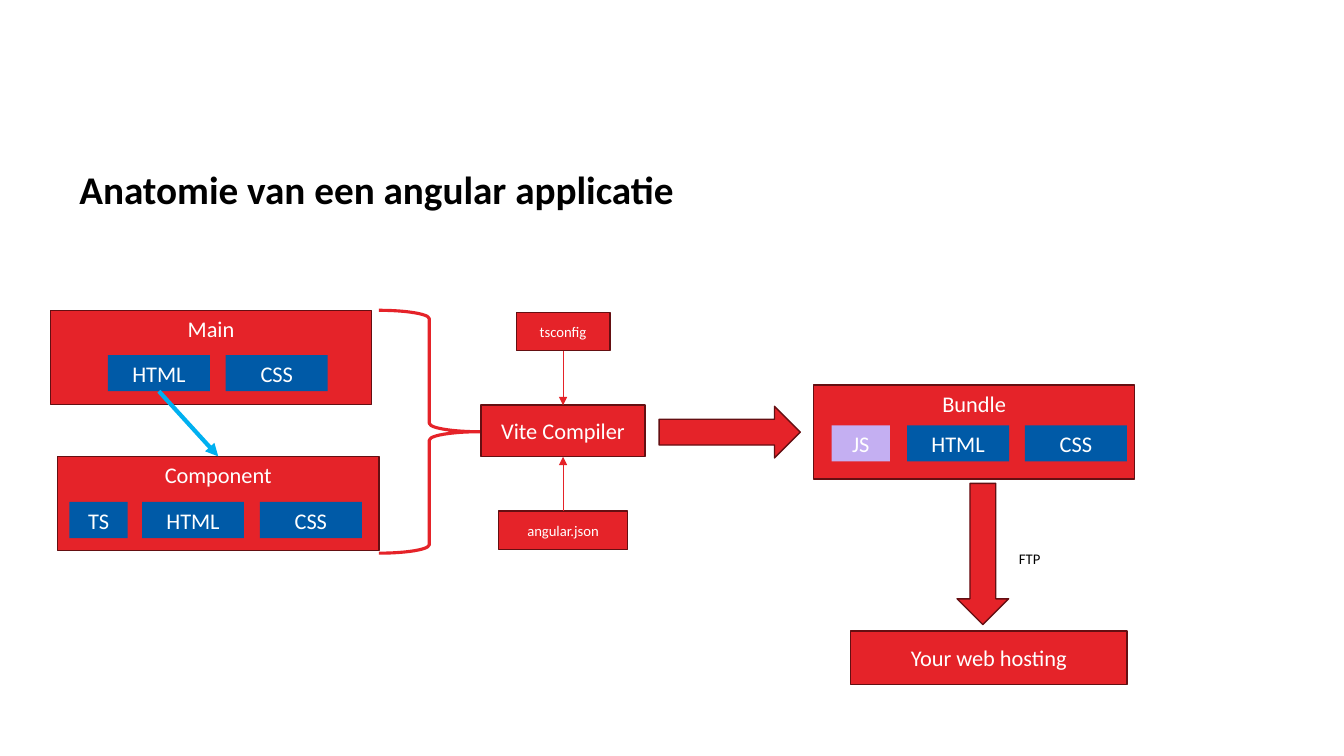
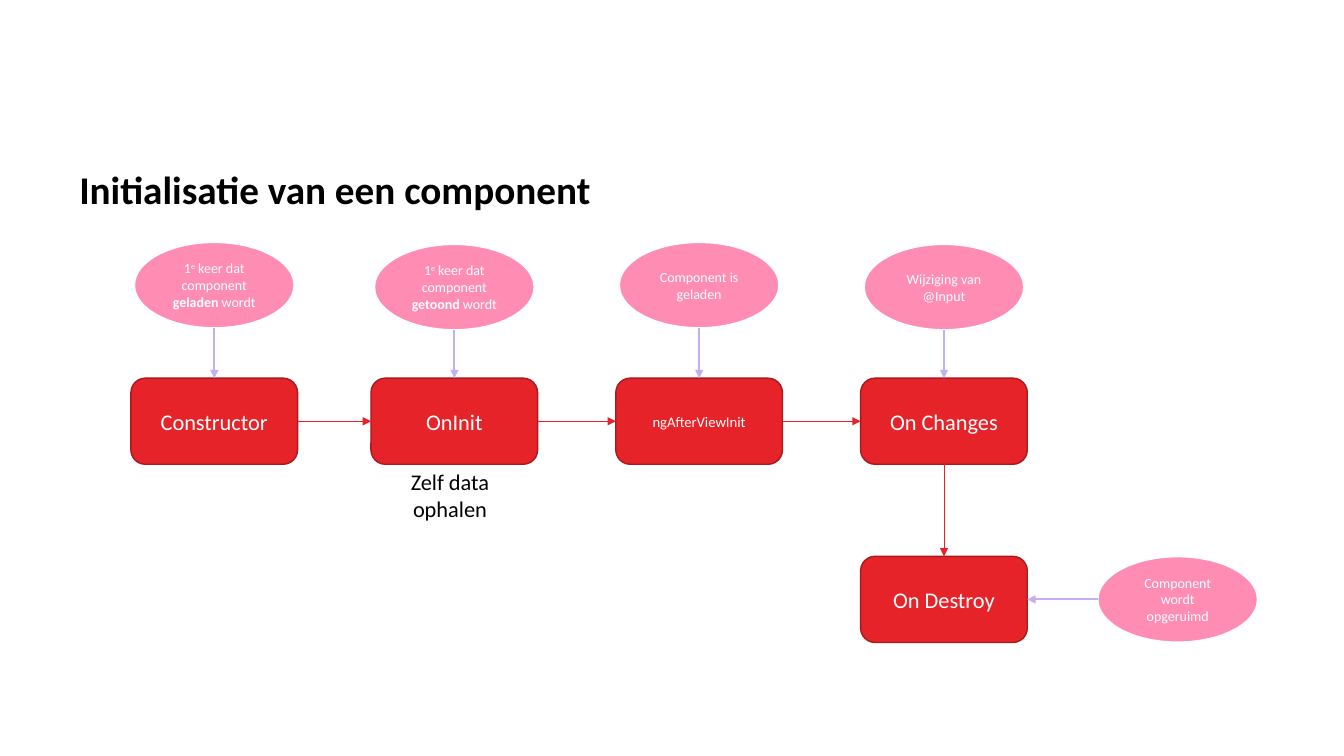
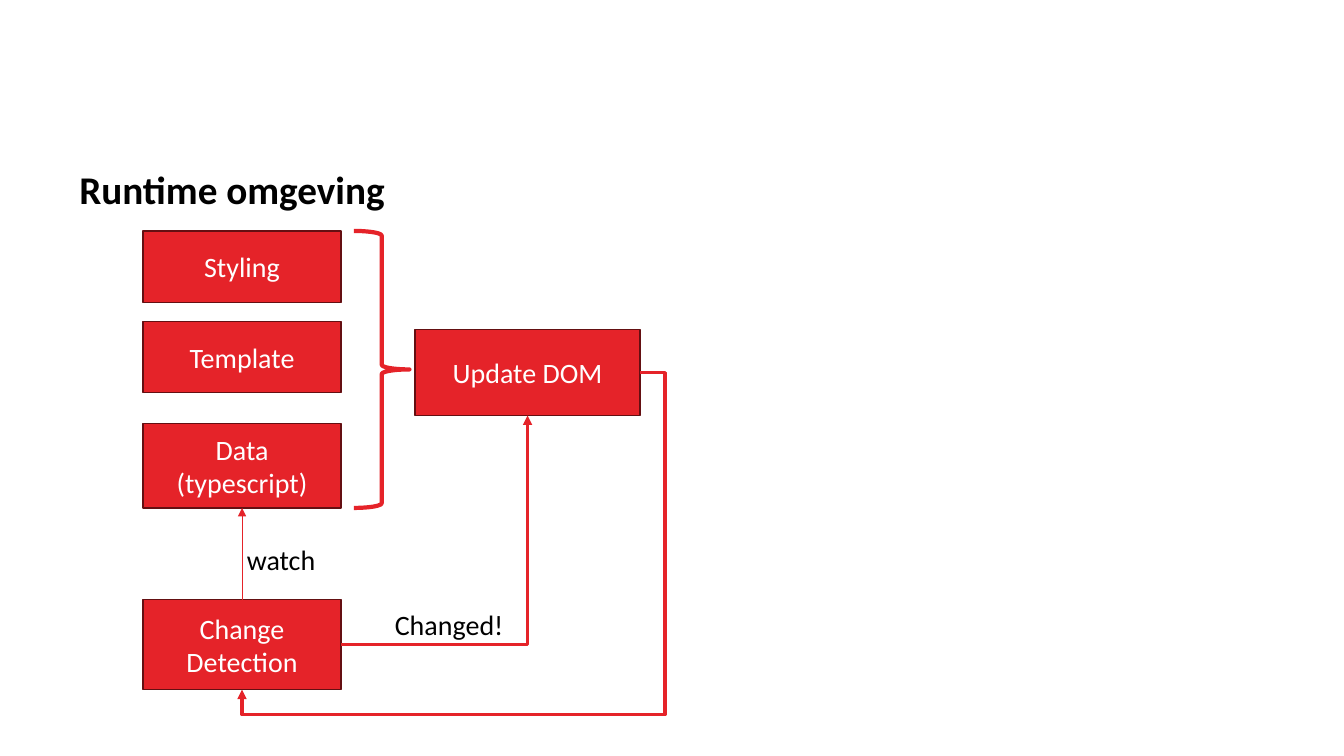
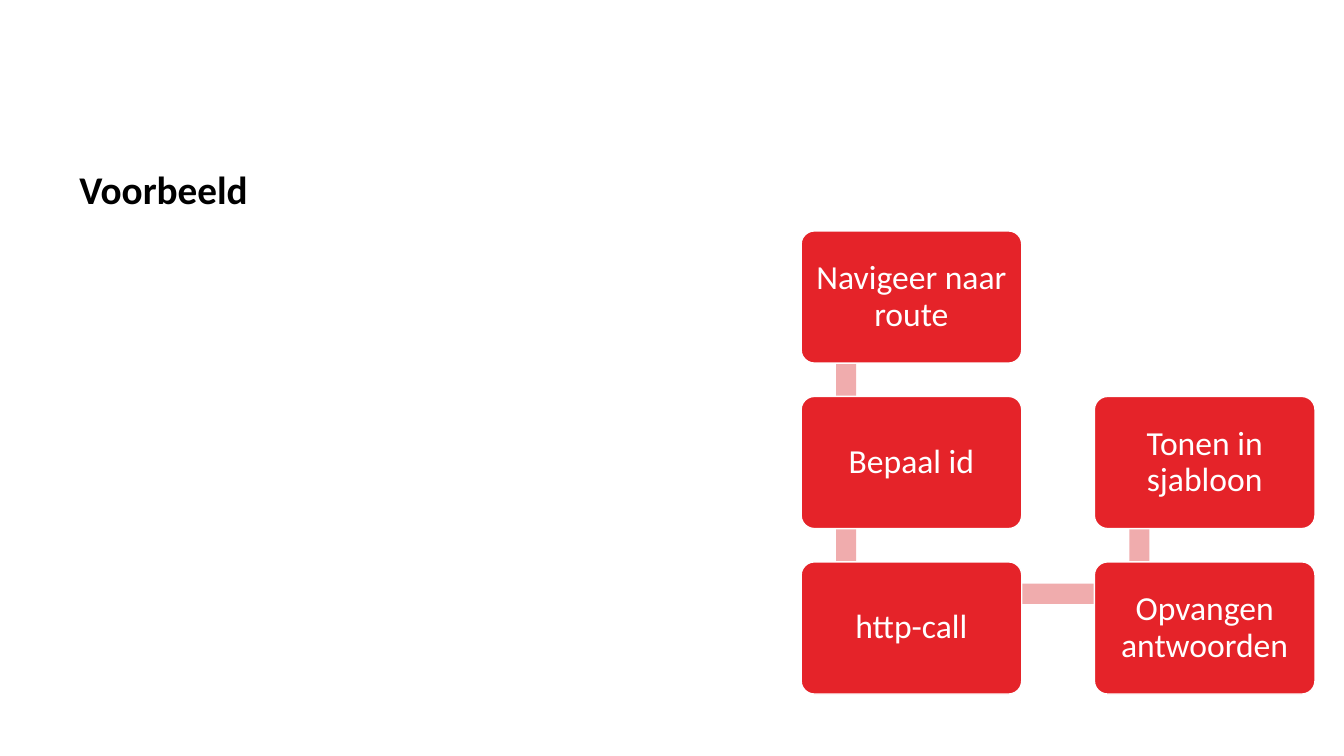
from dataclasses import dataclass
from typing import Optional

from lxml import etree
from pptx import Presentation
from pptx.dml.color import RGBColor
from pptx.enum.shapes import MSO_CONNECTOR, MSO_SHAPE
from pptx.enum.text import MSO_ANCHOR, MSO_AUTO_SIZE, PP_ALIGN
from pptx.oxml.ns import qn
from pptx.shapes.autoshape import Shape
from pptx.shapes.connector import Connector
from pptx.slide import Slide
from pptx.text.text import TextFrame
from pptx.util import Cm, Pt

RECT = MSO_SHAPE.RECTANGLE
ROUNDED = MSO_SHAPE.ROUNDED_RECTANGLE
OVAL = MSO_SHAPE.OVAL
BRACE = MSO_SHAPE.RIGHT_BRACE
ARROW_RIGHT = MSO_SHAPE.RIGHT_ARROW
ARROW_DOWN = MSO_SHAPE.DOWN_ARROW
STRAIGHT = MSO_CONNECTOR.STRAIGHT
ELBOW = MSO_CONNECTOR.ELBOW
CENTER = PP_ALIGN.CENTER
LEFT_ALIGN = PP_ALIGN.LEFT
ANCHOR_TOP = MSO_ANCHOR.TOP
ANCHOR_MIDDLE = MSO_ANCHOR.MIDDLE
ANCHOR_BOTTOM = MSO_ANCHOR.BOTTOM
FIT_SHAPE = MSO_AUTO_SIZE.SHAPE_TO_FIT_TEXT

FONT = "Calibri"
RED = "E52329"
DARK_RED = "640F12"
SOFT_RED = "A91A1E"
PALE_RED = "F0ACAD"
BLUE = "005AA7"
SKY = "00B0F0"
LILAC = "C4AFF2"
PINK = "FF8CB2"
WHITE = "FFFFFF"
BLACK = "000000"

TOP, LEFT, BOTTOM, RIGHT = range(4)


@dataclass(frozen=True)
class Area:
    left: float
    top: float
    width: float
    height: float


@dataclass(frozen=True)
class Style:
    kind: MSO_SHAPE
    fill: Optional[str]
    line: Optional[str] = None
    weight: float = 1
    size: float = 16
    anchor: MSO_ANCHOR = ANCHOR_MIDDLE


@dataclass(frozen=True)
class Span:
    text: str
    bold: bool = False
    raised: bool = False


@dataclass(frozen=True)
class Chip:
    text: str
    offset: float
    width: float = 2.57
    fill: str = BLUE


@dataclass(frozen=True)
class Group:
    name: str
    left: float
    top: float
    chip_top: float
    chips: tuple[Chip, ...]


@dataclass(frozen=True)
class Hook:
    name: str
    size: float
    left: float
    trigger: tuple[Span, ...]
    trigger_top: float


PROCESS = Style(RECT, RED, DARK_RED)
SMALL_PROCESS = Style(RECT, RED, DARK_RED, size=10.5)
LARGE_PROCESS = Style(RECT, RED, DARK_RED, size=20)
CONTAINER = Style(RECT, RED, DARK_RED, anchor=ANCHOR_TOP)
TRIGGER = Style(OVAL, PINK, WHITE, 1.5, 10)
STEP = Style(ROUNDED, RED, WHITE, size=24)
BAR = Style(RECT, PALE_RED)


def color(value: str) -> RGBColor:
    return RGBColor.from_string(value)


def format_text(frame: TextFrame, size: float, ink: str, align: PP_ALIGN) -> None:
    for para in frame.paragraphs:
        para.alignment = align
        for run in para.runs:
            run.font.name = FONT
            run.font.size = Pt(size)
            run.font.color.rgb = color(ink)


def add_box(page: Slide, area: Area, style: Style, text: str = "") -> Shape:
    box = page.shapes.add_shape(
        style.kind, Cm(area.left), Cm(area.top), Cm(area.width), Cm(area.height)
    )
    box.shadow.inherit = False
    if style.fill:
        box.fill.solid()
        box.fill.fore_color.rgb = color(style.fill)
    else:
        box.fill.background()
    if style.line:
        box.line.color.rgb = color(style.line)
        box.line.width = Pt(style.weight)
    else:
        box.line.fill.background()
    if text:
        frame = box.text_frame
        frame.word_wrap = True
        frame.vertical_anchor = style.anchor
        frame.text = text
        format_text(frame, style.size, WHITE, CENTER)
    return box


def add_trigger(page: Slide, area: Area, spans: tuple[Span, ...]) -> Shape:
    box = add_box(page, area, TRIGGER)
    frame = box.text_frame
    frame.word_wrap = True
    frame.vertical_anchor = ANCHOR_MIDDLE
    for span in spans:
        run = frame.paragraphs[0].add_run()
        run.text = span.text
        run.font.bold = span.bold
        if span.raised:
            run._r.get_or_add_rPr().set("baseline", "30000")
    format_text(frame, TRIGGER.size, WHITE, CENTER)
    return box


def add_label(
    page: Slide,
    area: Area,
    text: str,
    size: float,
    wrap: bool = False,
    align: PP_ALIGN = LEFT_ALIGN,
) -> None:
    box = page.shapes.add_textbox(
        Cm(area.left), Cm(area.top), Cm(area.width), Cm(area.height)
    )
    frame = box.text_frame
    frame.word_wrap = wrap
    frame.auto_size = FIT_SHAPE
    frame.text = text
    format_text(frame, size, BLACK, align)


def side_point(box: Shape, side: int) -> tuple[int, int]:
    middle = box.left + box.width // 2
    center = box.top + box.height // 2
    points = {
        TOP: (middle, box.top),
        LEFT: (box.left, center),
        BOTTOM: (middle, box.top + box.height),
        RIGHT: (box.left + box.width, center),
    }
    return points[side]


def add_arrow(
    page: Slide,
    start: Shape,
    start_side: int,
    end: Shape,
    end_side: int,
    ink: str = RED,
    weight: float = 0.5,
    kind: MSO_CONNECTOR = STRAIGHT,
) -> Connector:
    arrow = page.shapes.add_connector(
        kind, *side_point(start, start_side), *side_point(end, end_side)
    )
    if start.auto_shape_type != OVAL:
        arrow.begin_connect(start, start_side)
    arrow.end_connect(end, end_side)
    arrow.line.color.rgb = color(ink)
    arrow.line.width = Pt(weight)
    tail = etree.SubElement(arrow.line._get_or_add_ln(), qn("a:tailEnd"))
    tail.set("type", "triangle")
    etree.SubElement(arrow._element.spPr, qn("a:effectLst"))
    return arrow


def set_bend(arrow: Connector, preset: str, **guides: int) -> None:
    geometry = arrow._element.spPr.find(qn("a:prstGeom"))
    geometry.set("prst", preset)
    values = geometry.find(qn("a:avLst"))
    for name, value in guides.items():
        guide = etree.SubElement(values, qn("a:gd"))
        guide.set("name", name)
        guide.set("fmla", f"val {value}")


def add_page(deck: Presentation, title: str) -> Slide:
    page = deck.slides.add_slide(deck.slide_layouts[6])
    box = page.shapes.add_textbox(Cm(2), Cm(1.45), Cm(29.7), Cm(3.91))
    frame = box.text_frame
    frame.word_wrap = True
    frame.vertical_anchor = ANCHOR_BOTTOM
    frame.margin_left = frame.margin_right = Cm(0)
    frame.margin_top = frame.margin_bottom = Cm(0)
    frame.text = title
    format_text(frame, 28, BLACK, LEFT_ALIGN)
    frame.paragraphs[0].runs[0].font.bold = True
    return page


def add_group(page: Slide, group: Group) -> tuple[Shape, dict[str, Shape]]:
    area = Area(group.left, group.top, 8.1, 2.37)
    container = add_box(page, area, CONTAINER, group.name)
    chips = {
        chip.text: add_box(
            page,
            Area(group.left + chip.offset, group.top + group.chip_top, chip.width, 0.91),
            Style(RECT, chip.fill),
            chip.text,
        )
        for chip in group.chips
    }
    return container, chips


def build_anatomy(deck: Presentation) -> None:
    page = add_page(deck, "Anatomie van een angular applicatie")
    component, _ = add_group(
        page,
        Group("Component", 1.45, 11.5, 1.15,
              (Chip("TS", 0.3, 1.47), Chip("HTML", 2.13), Chip("CSS", 5.1))),
    )
    _, main_chips = add_group(
        page,
        Group("Main", 1.27, 7.82, 1.13, (Chip("HTML", 1.45), Chip("CSS", 4.42))),
    )
    add_group(
        page,
        Group("Bundle", 20.5, 9.7, 1.02,
              (Chip("JS", 0.46, 1.47, LILAC), Chip("HTML", 2.36), Chip("CSS", 5.33))),
    )
    add_arrow(page, main_chips["HTML"], BOTTOM, component, TOP, SKY, 3)
    add_box(page, Area(9.55, 7.82, 2.54, 6.12), Style(BRACE, None, RED, 2.25))
    compiler = add_box(page, Area(12.12, 10.21, 4.14, 1.3), PROCESS, "Vite Compiler")
    add_box(page, Area(16.61, 10.24, 3.56, 1.3), Style(ARROW_RIGHT, RED, DARK_RED))
    add_box(page, Area(24.12, 12.18, 1.3, 3.56), Style(ARROW_DOWN, RED, DARK_RED))
    add_box(page, Area(21.44, 15.9, 6.96, 1.35), PROCESS, "Your web hosting")
    add_label(page, Area(25.43, 13.72, 1.17, 0.74), "FTP", 10.5)
    angular = add_box(page, Area(12.57, 12.88, 3.24, 0.97), SMALL_PROCESS, "angular.json")
    tsconfig = add_box(page, Area(13.01, 7.87, 2.36, 0.97), SMALL_PROCESS, "tsconfig")
    add_arrow(page, tsconfig, BOTTOM, compiler, TOP)
    add_arrow(page, angular, TOP, compiler, BOTTOM)


def first_time(event: str) -> tuple[Span, ...]:
    return (
        Span("1"),
        Span("e", raised=True),
        Span(" keer dat component "),
        Span(event, bold=True),
        Span(" wordt"),
    )


def build_lifecycle(deck: Presentation) -> None:
    page = add_page(deck, "Initialisatie van een component")
    hook_width, trigger_width, height = 4.2, 4.04, 2.17
    hook_top, destroy_top = 9.53, 14.02
    hooks = (
        Hook("Constructor", 16, 3.3, first_time("geladen"), 6.1),
        Hook("OnInit", 16, 9.35, first_time("getoond"), 6.15),
        Hook("ngAfterViewInit", 10.5, 15.52, (Span("Component is geladen"),), 6.1),
        Hook("On Changes", 16, 21.69, (Span("Wijziging van @Input"),), 6.15),
    )
    boxes: list[Shape] = []
    for hook in hooks:
        style = Style(ROUNDED, RED, SOFT_RED, size=hook.size)
        box = add_box(page, Area(hook.left, hook_top, hook_width, height), style, hook.name)
        trigger_left = hook.left + (hook_width - trigger_width) / 2
        trigger_area = Area(trigger_left, hook.trigger_top, trigger_width, height)
        trigger = add_trigger(page, trigger_area, hook.trigger)
        add_arrow(page, trigger, BOTTOM, box, TOP, LILAC, 1.5)
        boxes.append(box)
    for current, following in zip(boxes, boxes[1:]):
        add_arrow(page, current, RIGHT, following, LEFT)
    destroy = add_box(
        page,
        Area(hooks[-1].left, destroy_top, hook_width, height),
        Style(ROUNDED, RED, SOFT_RED),
        "On Destroy",
    )
    add_arrow(page, boxes[-1], BOTTOM, destroy, TOP)
    cleanup = add_trigger(
        page,
        Area(27.66, destroy_top, trigger_width, height),
        (Span("Component wordt opgeruimd"),),
    )
    add_arrow(page, cleanup, LEFT, destroy, RIGHT, LILAC, 1.5)
    add_label(page, Area(9.7, 11.68, 3.28, 1.63), "Zelf data ophalen", 16, True, CENTER)


def build_runtime(deck: Presentation) -> None:
    page = add_page(deck, "Runtime omgeving")
    _, _, data, detection = [
        add_box(page, Area(3.6, top, 5, height), LARGE_PROCESS, text)
        for text, top, height in (
            ("Styling", 5.82, 1.8),
            ("Template", 8.1, 1.8),
            ("Data\n(typescript)", 10.67, 2.13),
            ("Change Detection", 15.11, 2.27),
        )
    ]
    update = add_box(page, Area(10.46, 8.31, 5.67, 2.16), LARGE_PROCESS, "Update DOM")
    add_box(page, Area(8.92, 5.82, 1.4, 6.98), Style(BRACE, None, RED, 3))
    add_arrow(page, detection, TOP, data, BOTTOM)
    changed = add_arrow(page, detection, RIGHT, update, BOTTOM, weight=2.25, kind=ELBOW)
    set_bend(changed, "bentConnector2")
    repeat = add_arrow(page, update, RIGHT, detection, BOTTOM, weight=2.25, kind=ELBOW)
    set_bend(repeat, "bentConnector4", adj1=-6300, adj2=107900)
    add_label(page, Area(5.97, 13.54, 2.57, 1.12), "watch", 20)
    add_label(page, Area(9.7, 15.19, 3.73, 1.12), "Changed!", 20)


def build_example(deck: Presentation) -> None:
    page = add_page(deck, "Voorbeeld")
    columns = (20.19, 27.58)
    rows = [5.82 + 4.17 * index for index in range(3)]
    thickness = 0.51
    for column, row in ((0, 0), (0, 1), (1, 1)):
        add_box(page, Area(columns[column] + 0.88, rows[row] + 0.82, thickness, 4.14), BAR)
    add_box(page, Area(columns[0] + 1.15, rows[2] + 0.55, 7.37, thickness), BAR)
    for text, column, row in (
        ("Navigeer naar route", 0, 0),
        ("Bepaal id", 0, 1),
        ("http-call", 0, 2),
        ("Opvangen antwoorden", 1, 2),
        ("Tonen in sjabloon", 1, 1),
    ):
        step = add_box(page, Area(columns[column], rows[row], 5.56, 3.33), STEP, text)
        step.adjustments[0] = 0.1
        frame = step.text_frame
        frame.margin_left = frame.margin_right = Cm(0.25)
        frame.paragraphs[0].line_spacing = 0.9


def main() -> None:
    deck = Presentation()
    deck.slide_width = Cm(33.87)
    deck.slide_height = Cm(19.05)
    build_anatomy(deck)
    build_lifecycle(deck)
    build_runtime(deck)
    build_example(deck)
    deck.save("out.pptx")


if __name__ == "__main__":
    main()
